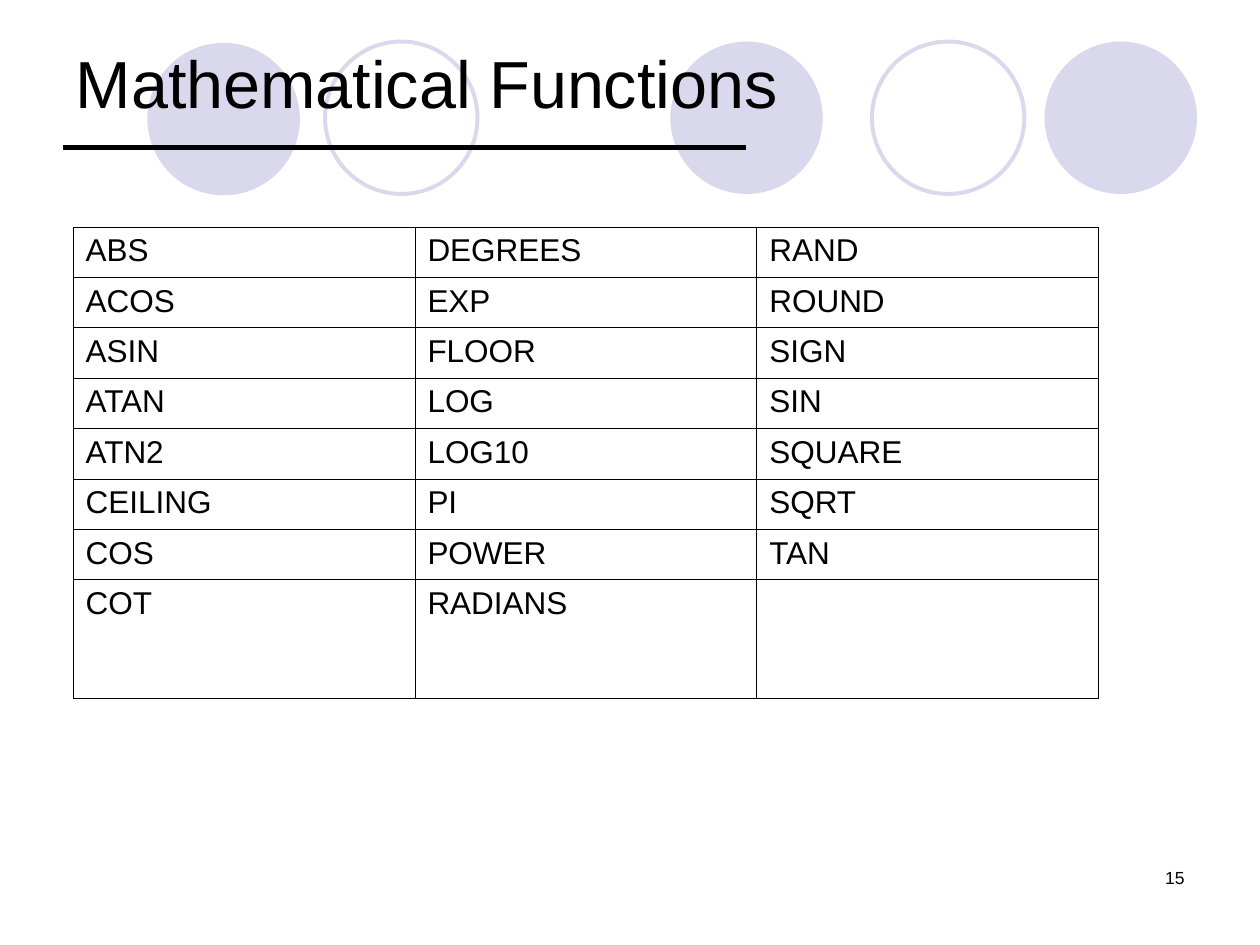
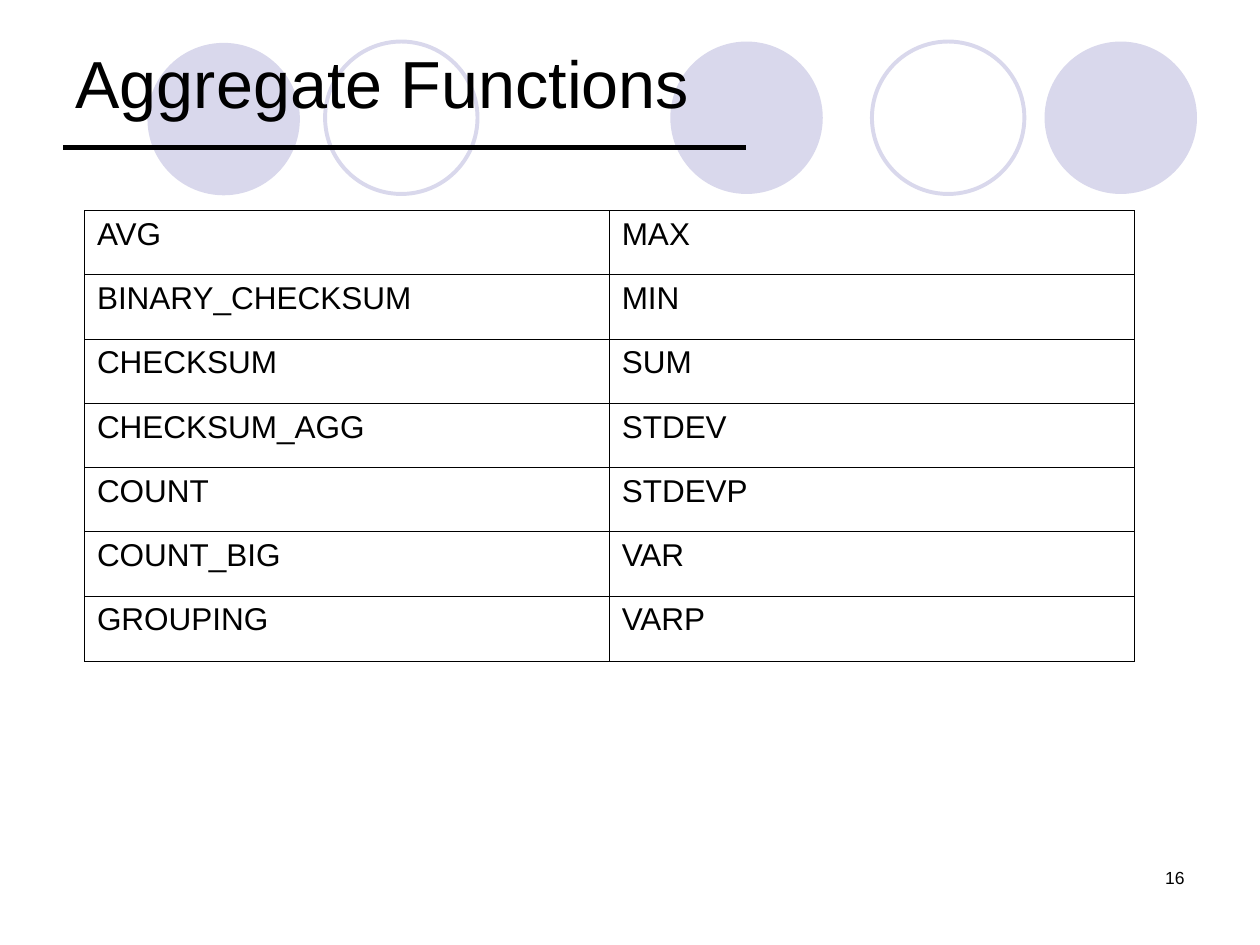
from itertools import zip_longest

from lxml import etree
from pptx import Presentation
from pptx.dml.color import RGBColor
from pptx.enum.shapes import MSO_CONNECTOR, MSO_SHAPE
from pptx.enum.text import MSO_ANCHOR, MSO_AUTO_SIZE, PP_ALIGN
from pptx.oxml.ns import qn
from pptx.util import Inches, Pt

LINE, OVAL = MSO_CONNECTOR.STRAIGHT, MSO_SHAPE.OVAL
LEFT, RIGHT = PP_ALIGN.LEFT, PP_ALIGN.RIGHT
TOP, MIDDLE, NO_FIT = MSO_ANCHOR.TOP, MSO_ANCHOR.MIDDLE, MSO_AUTO_SIZE.NONE

FONT = "Arial"
COLORS = {"ink": "000000", "paper": "FFFFFF", "circle": "D9D8EC"}
BAND_BOX = (0.5, 0.3, 9, 1.24)
NUMBER_BOX = (7.17, 6.83, 2.33, 0.5)
DIAMETER = 1.21
CIRCLES = [(4.82, 0.03, True), (7.79, 0.03, True), (0.67, 0.04, True),
           (6.42, 0.03, False), (2.08, 0.03, False)]

MATH_BOX = (0.58, 1.8, 8.14, 3.74)
MATH_COLUMNS = [
    ["ABS", "ACOS", "ASIN", "ATAN", "ATN2", "CEILING", "COS", "COT"],
    ["DEGREES", "EXP", "FLOOR", "LOG", "LOG10", "PI", "POWER", "RADIANS"],
    ["RAND", "ROUND", "SIGN", "SIN", "SQUARE", "SQRT", "TAN"],
]
AGGREGATE_BOX = (0.67, 1.67, 8.33, 3.58)
AGGREGATE_COLUMNS = [
    ["AVG", "BINARY_CHECKSUM", "CHECKSUM", "CHECKSUM_AGG", "COUNT",
     "COUNT_BIG", "GROUPING"],
    ["MAX", "MIN", "SUM", "STDEV", "STDEVP", "VAR", "VARP"],
]


def color(name):
    """Return the named colour."""
    return RGBColor.from_string(COLORS[name])


def write(tf, text, size, align=LEFT):
    """Write one run in the first paragraph of a text frame."""
    p = tf.paragraphs[0]
    p.alignment = align
    r = p.add_run()
    r.text = text
    r.font.name = FONT
    r.font.size = Pt(size)
    r.font.color.rgb = color("ink")


def add_band(slide, box):
    """Draw the row of circles and the rule under the title."""
    left, top, _, _ = box
    for x, y, solid in CIRCLES:
        sp = slide.shapes.add_shape(OVAL, Inches(left + x), Inches(top + y),
                                    Inches(DIAMETER), Inches(DIAMETER))
        sp.shadow.inherit = False
        if solid:
            sp.fill.solid()
            sp.fill.fore_color.rgb = color("circle")
            sp.line.fill.background()
        else:
            sp.fill.background()
            sp.line.color.rgb = color("circle")
            sp.line.width = Pt(2.25)
    y = Inches(top + 0.87)
    rule = slide.shapes.add_connector(LINE, Inches(left), y,
                                      Inches(left + 5.42), y)
    rule.line.color.rgb = color("ink")
    rule.line.width = Pt(3)
    etree.SubElement(rule._element.spPr, qn("a:effectLst"))


def add_title(slide, box, text):
    """Place the title in the upper part of the band, above the circles."""
    left, top, width, _ = box
    sp = slide.shapes.title
    sp.left, sp.top = Inches(left), Inches(top)
    sp.width, sp.height = Inches(width), Inches(0.7)
    tf = sp.text_frame
    tf.auto_size = NO_FIT
    tf.vertical_anchor = MIDDLE
    write(tf, text, 38)
    slide.shapes._spTree.append(sp._element)


def add_number(slide, box, number):
    """Add the slide number at the right of the footer."""
    tf = slide.shapes.add_textbox(*map(Inches, box)).text_frame
    tf.word_wrap = True
    write(tf, str(number), 10, RIGHT)


def set_borders(cell):
    """Give all four sides of a cell a thin line."""
    tcPr = cell._tc.get_or_add_tcPr()
    for side in ("a:lnL", "a:lnR", "a:lnT", "a:lnB"):
        ln = etree.SubElement(tcPr, qn(side), w=str(Pt(0.34)))
        fill = etree.SubElement(ln, qn("a:solidFill"))
        etree.SubElement(fill, qn("a:srgbClr"), val=COLORS["ink"])


def add_function_table(slide, box, columns, row_height):
    """Fill a table column by column; the last row takes the height left."""
    rows = list(zip_longest(*columns, fillvalue=""))
    table = slide.shapes.add_table(len(rows), len(columns),
                                   *map(Inches, box)).table
    table.first_row = table.horz_banding = False
    for column in table.columns:
        column.width = Inches(box[2] / len(columns))
    for row in table.rows:
        row.height = Inches(row_height)
    table.rows[len(rows) - 1].height = Inches(
        box[3] - row_height * (len(rows) - 1))
    for row, names in zip(table.rows, rows):
        for cell, name in zip(row.cells, names):
            set_borders(cell)
            cell.fill.background()
            cell.vertical_anchor = TOP
            if name:
                write(cell.text_frame, name, 18)


def add_function_slide(prs, number, title, box, columns, row_height):
    """Add a slide that lists functions in a table."""
    slide = prs.slides.add_slide(prs.slide_layouts[5])
    slide.background.fill.solid()
    slide.background.fill.fore_color.rgb = color("paper")
    add_band(slide, BAND_BOX)
    add_number(slide, NUMBER_BOX, number)
    add_title(slide, BAND_BOX, title)
    add_function_table(slide, box, columns, row_height)


def main():
    """Build and save the presentation."""
    prs = Presentation()
    prs.slide_width, prs.slide_height = Inches(10), Inches(7.5)
    add_function_slide(prs, 15, "Mathematical Functions",
                       MATH_BOX, MATH_COLUMNS, 0.4)
    add_function_slide(prs, 16, "Aggregate Functions",
                       AGGREGATE_BOX, AGGREGATE_COLUMNS, 0.51)
    prs.save("out.pptx")


if __name__ == "__main__":
    main()
